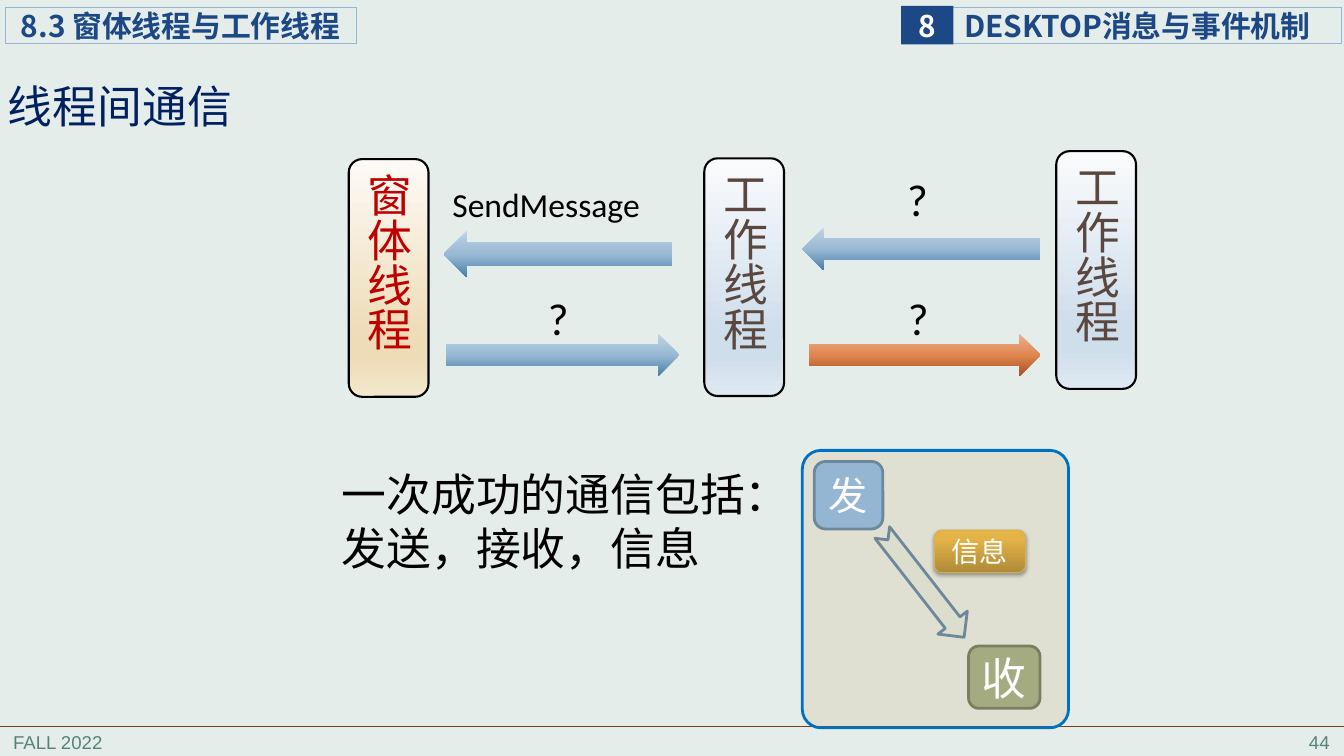
from pptx import Presentation
from pptx import util as u
from pptx.dml.color import RGBColor
from pptx.enum import shapes, text
from pptx.oxml.ns import qn
from lxml import etree

CJK, LATIN, SANS = "Noto Sans CJK SC", "Calibri", "Arial"
NAVY, SKY, STEEL = "1C4885", "94B6D2", "6D879B"
MSO = shapes.MSO_SHAPE
LEFT, CENTER, RIGHT = text.PP_ALIGN.LEFT, text.PP_ALIGN.CENTER, text.PP_ALIGN.RIGHT
TOP, MIDDLE = text.MSO_ANCHOR.TOP, text.MSO_ANCHOR.MIDDLE

# Gradients run from top to bottom: (percent, colour)
CREAM = [(0, "FDFBF7"), (74, "EDDCB6"), (83, "EDDCB6"), (100, "F3E8CE")]
ICE = [(0, "FAFBFD"), (74, "CFDEEB"), (83, "CFDEEB"), (100, "DFE9F2")]
BLUE = [(0, "BFD3E4"), (52, "97B8D3"), (100, "477DA9")]
ORANGE = [(0, "EBB391"), (52, "DE844D"), (100, "A5521F")]
GOLD = [(0, "E7B544"), (20, "E3B347"), (100, "AF8A37")]


def rgb(value):
    return RGBColor.from_string(value)


def child(parent, tag, **attrs):
    el = etree.SubElement(parent, qn(tag))
    for name, value in attrs.items():
        el.set(name, str(value))
    return el


def paint(sp, fill, alpha=None):
    """Fill with nothing, one colour (alpha in percent) or a list of stops."""
    if fill is None:
        sp.fill.background()
    elif isinstance(fill, str):
        sp.fill.solid()
        sp.fill.fore_color.rgb = rgb(fill)
        if alpha is not None:
            clr = sp._element.spPr.find(".//" + qn("a:srgbClr"))
            child(clr, "a:alpha", val=alpha * 1000)
    else:
        sp.fill.gradient()
        sp.fill.gradient_angle = 270
        stops = sp._element.spPr.find(".//" + qn("a:gsLst"))
        for gs in list(stops):
            stops.remove(gs)
        for pos, colour in fill:
            child(child(stops, "a:gs", pos=pos * 1000), "a:srgbClr", val=colour)


def write(sp, words, size, colour, font=CJK, bold=False, align=LEFT, anchor=MIDDLE,
          insets=None, wrap=True, vertical=False, spacing=None):
    tf = sp.text_frame
    tf.word_wrap = wrap
    tf.vertical_anchor = anchor
    if insets:
        tf.margin_left, tf.margin_top, tf.margin_right, tf.margin_bottom = map(u.Cm, insets)
    if vertical:
        tf._txBody.bodyPr.set("vert", "eaVert")
    p = tf.paragraphs[0]
    p.alignment = align
    p.line_spacing = spacing
    r = p.add_run()
    r.text = words
    r.font.size, r.font.bold, r.font.name = u.Pt(size), bold, font
    r.font.color.rgb = rgb(colour)
    child(r._r.get_or_add_rPr(), "a:ea", typeface=font)


def shape(s, kind, box, fill=None, line=None, width=0.75, alpha=None):
    sp = s.shapes.add_shape(kind, *map(u.Cm, box))
    sp.shadow.inherit = False
    paint(sp, fill, alpha)
    if line:
        sp.line.color.rgb = rgb(line)
        sp.line.width = u.Pt(width)
    else:
        sp.line.fill.background()
    return sp


def label(s, box, words, size, colour, **fmt):
    write(s.shapes.add_textbox(*map(u.Cm, box)), words, size, colour, **fmt)


def rule(s, y, colour, width):
    ln = s.shapes.add_connector(shapes.MSO_CONNECTOR.STRAIGHT,
                                0, u.Cm(y), u.Cm(33.87), u.Cm(y))
    ln.line.color.rgb = rgb(colour)
    ln.line.width = u.Pt(width)
    child(ln._element.spPr, "a:effectLst")


def thread(s, x, y, words, fill, colour):
    sp = shape(s, MSO.ROUNDED_RECTANGLE, (x, y, 2.01, 5.99), fill, "000000", 1.5)
    write(sp, words, 32, colour, wrap=False, vertical=True)


def tile(s, box, words, size, fill, line, width=2):
    sp = shape(s, MSO.ROUNDED_RECTANGLE, box, fill, line, width)
    write(sp, words, size, "FFFFFF", align=CENTER)
    return sp


def drop_shadow(sp):
    effects = sp._element.spPr.find(qn("a:effectLst"))
    shadow = child(effects, "a:outerShdw", blurRad=u.Pt(3.1), dist=u.Pt(1.8),
                   dir=90 * 60000, rotWithShape=0)
    child(child(shadow, "a:srgbClr", val="000000"), "a:alpha", val=35000)


def frame(s):
    """Header boxes, footer and title."""
    for x, words, align in ((0.08, "FALL 2022", LEFT), (26.7, "44", RIGHT)):
        label(s, (x, 18.29, 7.06, 0.79), words, 13.3, "578279",
              font=SANS, align=align, anchor=TOP)
    chapter = shape(s, MSO.RECTANGLE, (24, 0.18, 9.8, 0.91), line=SKY)
    write(chapter, "DESKTOP消息与事件机制", 21.3, NAVY, bold=True, insets=(0.3, 0, 0, 0))
    number = shape(s, MSO.RECTANGLE, (22.71, 0.15, 1.32, 0.97), NAVY)
    write(number, "8", 21.3, "FFFFFF", bold=True, align=CENTER,
          insets=(0, 0, 0, 0), wrap=False)
    rule(s, 18.31, "7B3D17", 0.5)
    section = shape(s, MSO.RECTANGLE, (0.13, 0.18, 8.86, 0.91), line=SKY)
    write(section, "8.3 窗体线程与工作线程", 21.3, NAVY, bold=True, insets=(0.4, 0, 0, 0))
    label(s, (0, 1.6, 10.8, 2.31), "线程间通信", 32, "002060",
          insets=(0.2, 0.1, 0.2, 0.1), spacing=0.9)


def threads(s):
    thread(s, 8.79, 4.01, "窗体线程", CREAM, "C00000")
    thread(s, 17.75, 3.99, "工作线程", ICE, "594740")
    thread(s, 26.62, 3.81, "工作线程", ICE, "594740")
    for kind, box, fill in (
            (MSO.LEFT_ARROW, (11.18, 5.82, 5.77, 1.17), BLUE),
            (MSO.RIGHT_ARROW, (11.25, 8.41, 5.87, 1.07), BLUE),
            (MSO.RIGHT_ARROW, (20.4, 8.41, 5.82, 1.07), ORANGE),
            (MSO.LEFT_ARROW, (20.22, 5.74, 5.99, 1.07), BLUE)):
        shape(s, kind, box, fill)
    label(s, (11.15, 4.52, 5.44, 1.27), "SendMessage", 24, "000000",
          font=LATIN, anchor=TOP, wrap=False)
    for x, y in ((13.56, 7.19), (22.63, 7.19), (22.61, 4.19)):
        label(s, (x, y, 0.94, 1.63), "?", 32, "000000",
              font=LATIN, anchor=TOP, wrap=False)


def message_panel(s):
    panel = shape(s, MSO.ROUNDED_RECTANGLE, (20.22, 11.35, 6.71, 6.99),
                  "BA8F2D", "0070C0", 2, alpha=13)
    panel.adjustments[0] = 0.07
    tile(s, (20.52, 11.63, 1.73, 1.7), "发", 28, SKY, STEEL)
    arrow = shape(s, MSO.NOTCHED_RIGHT_ARROW, (21.59, 14.27, 3.35, 0.94),
                  "DBDDCD", STEEL, 2)
    arrow.rotation = 52
    tile(s, (24.41, 16.28, 1.8, 1.57), "收", 32, "A5AB81", "7A7F5F")
    drop_shadow(tile(s, (23.55, 13.36, 2.29, 1.07), "信息", 20, GOLD, "D6AF57", 0.75))
    label(s, (8.36, 11.63, 10.72, 3), "一次成功的通信包括：发送，接收，信息",
          32, "000000", anchor=TOP)


def main():
    prs = Presentation()
    prs.slide_width, prs.slide_height = u.Cm(33.87), u.Cm(19.05)
    s = prs.slides.add_slide(prs.slide_layouts[6])
    s.background.fill.solid()
    s.background.fill.fore_color.rgb = rgb("E5EDEB")
    frame(s)
    threads(s)
    message_panel(s)
    prs.save("out.pptx")


if __name__ == "__main__":
    main()
